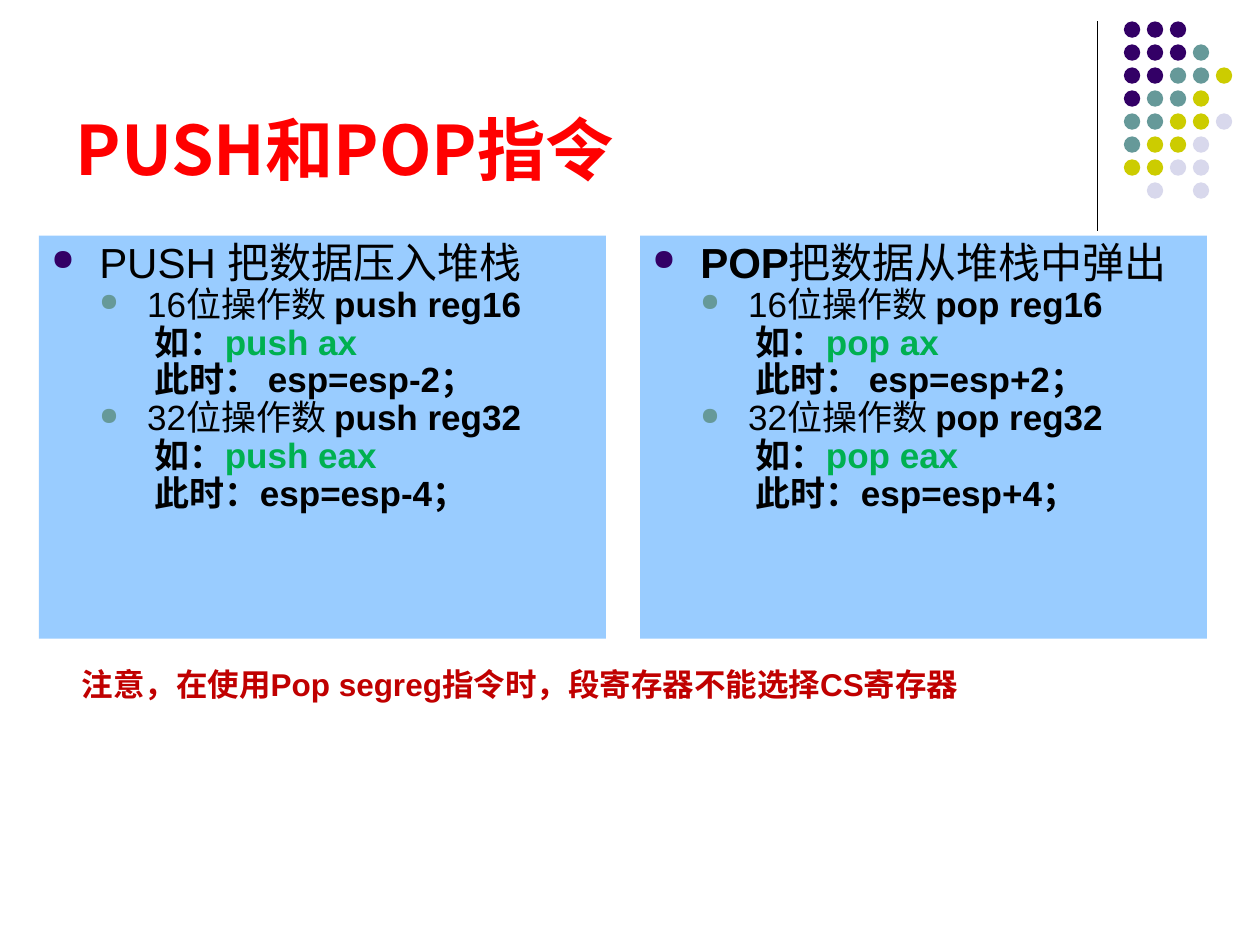
from lxml.etree import SubElement as Sub
from pptx import Presentation
from pptx.dml.color import RGBColor as RGB
from pptx.enum.shapes import MSO_CONNECTOR as Conn, MSO_SHAPE as Shape
from pptx.enum.text import MSO_ANCHOR as Anchor, PP_ALIGN as Align
from pptx.oxml.ns import qn
from pptx.util import Inches, Pt

COLORS = {
    "text": "000000", "title": "FF0000", "code": "00B050", "note": "C00000",
    "panel": "99CCFF", "purple": "330066", "teal": "669999",
    "lime": "CCCC00", "pale": "D8D8EC",
}
CJK = "Noto Sans CJK SC"


def color(name):
    return RGB.from_string(COLORS[name])


def add_run(para, text, size, bold, tint="text", face="Arial"):
    run = para.add_run()
    run.text = text
    for key, val in {"size": Pt(size), "bold": bold, "name": face}.items():
        setattr(run.font, key, val)
    run.font.color.rgb = color(tint)
    Sub(run.font._element, qn("a:ea"), typeface=CJK)


prs = Presentation()
prs.slide_width, prs.slide_height = Inches(10), Inches(7.5)
slide = prs.slides.add_slide(prs.slide_layouts[5])
shapes = slide.shapes

# Vertical rule
rule = shapes.add_connector(
    Conn.STRAIGHT, Inches(8.71), Inches(0.17), Inches(8.71), Inches(1.83))
rule.line.color.rgb = color("text")
rule.line.width = Pt(0.75)
Sub(rule._element.spPr, qn("a:effectLst"))

# Dot pattern: one letter per colour
tints = {"p": "purple", "t": "teal", "l": "lime", "w": "pale"}
rows = ["ppp", "pppt", "ppttl", "pttl", "ttllw", "tllw", "llww", ".w.w"]
step = 0.73 / 4
dots = shapes.add_group_shape()
for r, row in enumerate(rows):
    for c, key in enumerate(row):
        if key == ".":
            continue
        dot = dots.shapes.add_shape(
            Shape.OVAL, Inches(8.92 + c * step), Inches(0.17 + r * step),
            Inches(0.13), Inches(0.13))
        dot.shadow.inherit = False
        dot.fill.solid()
        dot.fill.fore_color.rgb = color(tints[key])
        dot.line.fill.background()

# Title
title = shapes.title
place = {"left": 0.5, "top": 0.13, "width": 8.25, "height": 1.42}
for key, val in place.items():
    setattr(title, key, Inches(val))
title.text_frame.vertical_anchor = Anchor.BOTTOM
para = title.text_frame.paragraphs[0]
para.alignment = Align.LEFT
add_run(para, "PUSH和POP指令", 39, True, "title", CJK)

# Two panels: left, heading runs, operation, sign of the esp change
panels = [
    (0.31, [("PUSH 把数据压入堆栈", False)], "push", "-"),
    (5.08, [("POP", True), ("把数据从堆栈中弹出", False)], "pop", "+"),
]
for left, head, op, sign in panels:
    box = shapes.add_textbox(
        Inches(left), Inches(1.87), Inches(4.5), Inches(3.2))
    box.fill.solid()
    box.fill.fore_color.rgb = color("panel")
    frame = box.text_frame
    frame.word_wrap = True

    # Each line: left margin, bullet colour, size, runs
    lines = [(0.38, "purple", 24, head)]
    for bits, reg, gap, size in [(16, "ax", " ", 2), (32, "eax", "", 4)]:
        lines += [
            (0.76, "teal", 20,
             [(f"{bits}位操作数 ", False), (f"{op} reg{bits}", True)]),
            (0.82, None, 20, [("如：", True), (f"{op} {reg}", True, "code")]),
            (0.82, None, 20, [(f"此时：{gap}esp=esp{sign}{size}；", True)]),
        ]
    for i, (margin, bullet, size, runs) in enumerate(lines):
        para = frame.paragraphs[0] if i == 0 else frame.add_paragraph()
        props = para._p.get_or_add_pPr()
        props.set("marL", str(Inches(margin)))
        props.set("indent", str(Inches(-0.38 if bullet else 0)))
        if bullet:
            tint = Sub(props, qn("a:buClr"))
            Sub(tint, qn("a:srgbClr"), val=COLORS[bullet])
            Sub(props, qn("a:buSzPct"), val="70000")
            Sub(props, qn("a:buChar"), char="●")
        para.line_spacing = 0.9
        for run in runs:
            add_run(para, run[0], size, *run[1:])

# Note
note = shapes.add_textbox(Inches(0.55), Inches(5.23), Inches(7.4), Inches(0.4))
add_run(note.text_frame.paragraphs[0],
        "注意，在使用Pop segreg指令时，段寄存器不能选择CS寄存器", 18, True, "note")

prs.save("out.pptx")
